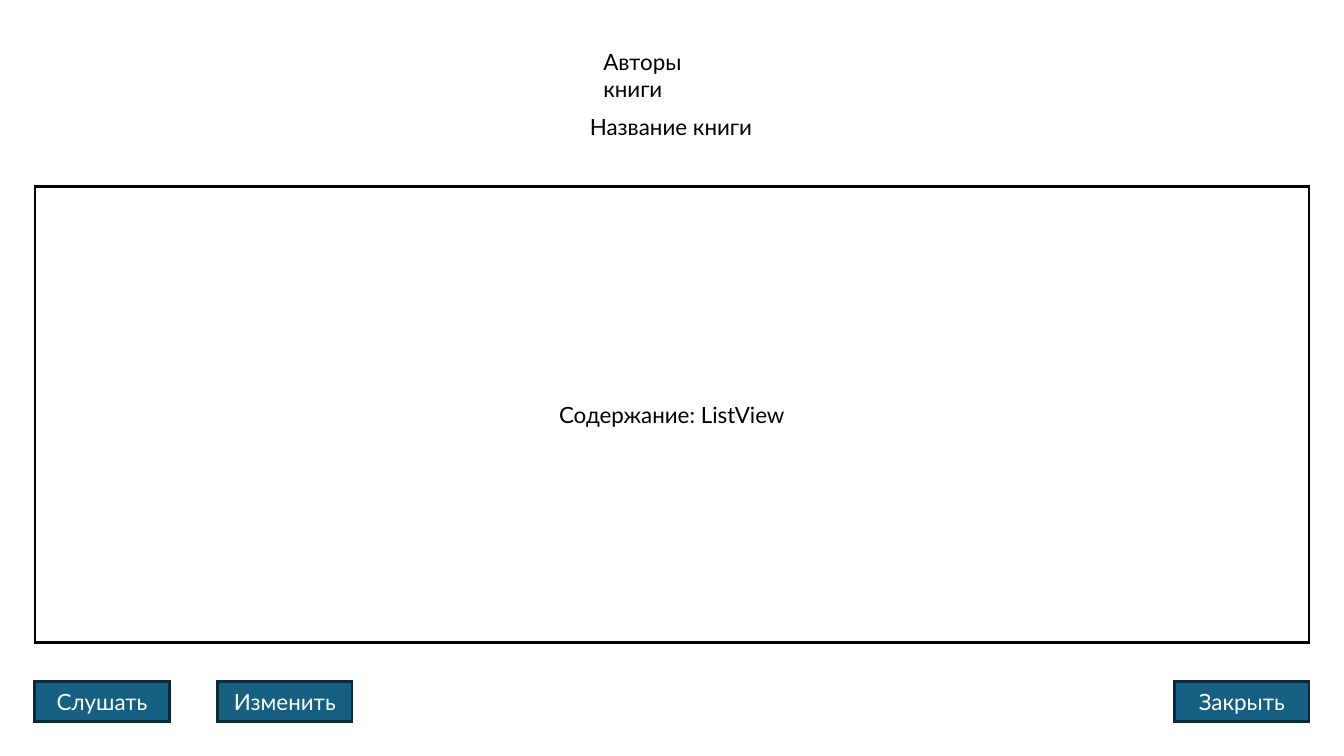
"""Build a wireframe slide of a book window with a contents list and buttons."""
from lxml import etree
from pptx import Presentation
from pptx.dml.color import RGBColor
from pptx.enum.shapes import MSO_SHAPE
from pptx.enum.text import MSO_ANCHOR, PP_ALIGN
from pptx.oxml.ns import qn
from pptx.util import Inches, Pt

RECT = MSO_SHAPE.RECTANGLE
MIDDLE = MSO_ANCHOR.MIDDLE
LEFT, CENTER = PP_ALIGN.LEFT, PP_ALIGN.CENTER
BLACK = RGBColor(0x00, 0x00, 0x00)
WHITE = RGBColor(0xFF, 0xFF, 0xFF)
BLUE = RGBColor(0x15, 0x60, 0x82)
NAVY = RGBColor(0x09, 0x2A, 0x39)

SLIDE_W = 10
SLIDE_H = SLIDE_W * 9 / 16
MARGIN = 0.26
BUTTON_W, BUTTON_H, BUTTON_TOP = 1, 0.3, 5.07

LABELS = [("Авторы книги", 0.31, 1.22, True), ("Название книги", 0.79, 1.42, False)]
CONTENTS = ("Содержание: ListView", 1.39, 3.39)
BUTTONS = [
    ("Слушать", MARGIN),
    ("Изменить", 1.62),
    ("Закрыть", SLIDE_W - MARGIN - BUTTON_W),
]


def write(tf, text, color, align):
    p = tf.paragraphs[0]
    p.text = text
    p.alignment = align
    p.font.name = "Lato"
    p.font.size = Pt(12)
    p.font.color.rgb = color


def add_box(s, text, left, top, width, height, fill, line, color):
    sp = s.shapes.add_shape(RECT, Inches(left), Inches(top), Inches(width), Inches(height))
    sp.shadow.inherit = False
    sp.fill.solid()
    sp.fill.fore_color.rgb = fill
    sp.line.color.rgb = line
    sp.line.width = Pt(1.5)
    ln = sp.element.spPr.find(qn("a:ln"))
    etree.SubElement(ln, qn("a:miter"), lim="800000")
    sp.text_frame.vertical_anchor = MIDDLE
    write(sp.text_frame, text, color, CENTER)


def add_label(s, text, top, width, wrap):
    left = (SLIDE_W - width) / 2
    sp = s.shapes.add_textbox(Inches(left), Inches(top), Inches(width), Inches(0.3))
    sp.text_frame.word_wrap = wrap
    write(sp.text_frame, text, BLACK, LEFT)


def main():
    prs = Presentation()
    prs.slide_width, prs.slide_height = Inches(SLIDE_W), Inches(SLIDE_H)
    s = prs.slides.add_slide(prs.slide_layouts[6])
    text, top, height = CONTENTS
    add_box(s, text, MARGIN, top, SLIDE_W - 2 * MARGIN, height, WHITE, BLACK, BLACK)
    for text, left in BUTTONS:
        add_box(s, text, left, BUTTON_TOP, BUTTON_W, BUTTON_H, BLUE, NAVY, WHITE)
    for label in LABELS:
        add_label(s, *label)
    prs.save("out.pptx")


if __name__ == "__main__":
    main()
